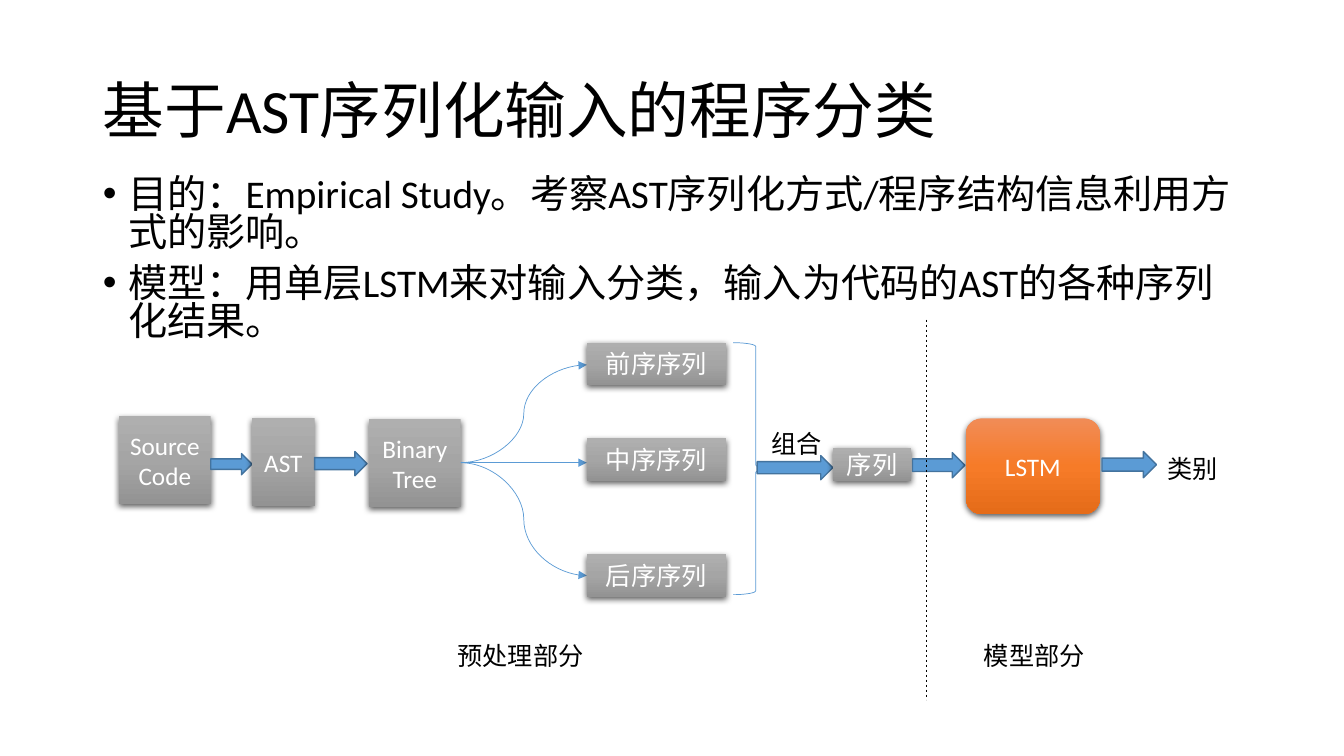
import pptx
import pptx.util
import pptx.dml.color
import pptx.enum.dml
import pptx.enum.shapes
import pptx.enum.text
import pptx.oxml.ns
from dataclasses import dataclass
from lxml import etree

Inches, Pt = pptx.util.Inches, pptx.util.Pt
SHAPE = pptx.enum.shapes.MSO_SHAPE
LINK = pptx.enum.shapes.MSO_CONNECTOR
ALIGN = pptx.enum.text.PP_ALIGN
ANCHOR = pptx.enum.text.MSO_ANCHOR
qn = pptx.oxml.ns.qn


@dataclass(frozen=True)
class Theme:
    latin: str = "Calibri"
    cjk: str = "Noto Sans CJK SC"
    title: int = 44
    body: int = 28
    label: int = 18
    black: str = "000000"
    white: str = "FFFFFF"
    blue: str = "5B9BD5"
    blue_edge: str = "43739E"
    grey: tuple = ("AFAFAF", "A5A5A5", "939393")
    orange: tuple = ("F18C57", "F67B28", "E56C19")


T = Theme()


def rgb(code):
    return pptx.dml.color.RGBColor.from_string(code)


def add(parent, tag, **attrs):
    return etree.SubElement(parent, qn(tag), **attrs)


def format_runs(p, size, color, latin=T.latin):
    for r in p.runs:
        r.font.size, r.font.name = Pt(size), latin
        r.font.color.rgb = rgb(color)
        add(r.font._element, "a:ea", typeface=T.cjk)


def place(sp, x, y, w, h):
    sp.left, sp.top, sp.width, sp.height = (Inches(v) for v in (x, y, w, h))


# Basic parts
def node(s, text, x, y, w, h, stops=T.grey, kind=SHAPE.FLOWCHART_PROCESS):
    sp = s.shapes.add_shape(kind, *(Inches(v) for v in (x, y, w, h)))
    sp.fill.gradient()
    sp.fill.gradient_angle = 270
    gs_list = sp._element.spPr.find(".//" + qn("a:gsLst"))
    gs_list.clear()
    for i, color in enumerate(stops):
        add(add(gs_list, "a:gs", pos=str(50000 * i)), "a:srgbClr", val=color)
    sp.line.fill.background()
    sp.shadow.inherit = False
    shadow = add(sp._element.spPr.find(qn("a:effectLst")), "a:outerShdw",
                 blurRad=str(Pt(4.5)), dist=str(Pt(1.5)), dir="5400000",
                 algn="ctr", rotWithShape="0")
    add(add(shadow, "a:srgbClr", val=T.black), "a:alpha", val="63000")
    tf = sp.text_frame
    tf.text = text
    tf.word_wrap, tf.vertical_anchor = True, ANCHOR.MIDDLE
    p = tf.paragraphs[0]
    p.alignment = ALIGN.CENTER
    format_runs(p, T.label, T.white)


def block_arrow(s, x, y, w, h):
    sp = s.shapes.add_shape(SHAPE.RIGHT_ARROW, *(Inches(v) for v in (x, y, w, h)))
    sp.shadow.inherit = False
    sp.fill.solid()
    sp.fill.fore_color.rgb = rgb(T.blue)
    sp.line.color.rgb, sp.line.width = rgb(T.blue_edge), Pt(1)


def label(s, text, x, y, w, latin=T.latin):
    tf = s.shapes.add_textbox(*(Inches(v) for v in (x, y, w, 0.4))).text_frame
    tf.text = text
    tf.word_wrap = True
    format_runs(tf.paragraphs[0], T.label, T.black, latin)


def line(s, kind, x1, y1, x2, y2, color):
    c = s.shapes.add_connector(kind, *(Inches(v) for v in (x1, y1, x2, y2)))
    c.line.color.rgb, c.line.width = rgb(color), Pt(0.5)
    add(c._element.spPr, "a:effectLst")
    return c


# Title and bullets
def heading(s, text, x, y, w, h):
    sp = s.shapes.title
    place(sp, x, y, w, h)
    tf = sp.text_frame
    tf.text = text
    tf.vertical_anchor = ANCHOR.MIDDLE
    p = tf.paragraphs[0]
    p.alignment, p.line_spacing = ALIGN.LEFT, 0.9
    format_runs(p, T.title, T.black)


def bullets(s, items, x, y, w, h):
    sp = s.placeholders[1]
    place(sp, x, y, w, h)
    tf = sp.text_frame
    tf.text = "\n".join(items)
    tf.auto_size = pptx.enum.text.MSO_AUTO_SIZE.NONE
    for i, p in enumerate(tf.paragraphs):
        p.line_spacing, p.space_before = 0.8, Pt(10 if i else 0)
        pPr = p._p.get_or_add_pPr()
        pPr.set("marL", str(Inches(0.25)))
        pPr.set("indent", str(Inches(-0.25)))
        add(pPr, "a:buFont", typeface="Arial")
        add(pPr, "a:buChar", char="•")
        format_runs(p, T.body, T.black)


# Preprocessing: source code to combined sequence
def preprocessing(s, x, y):
    node(s, "Source Code", x, y + 0.73, 0.91, 0.87)
    block_arrow(s, x + 0.91, y + 1.1, 0.41, 0.21)
    node(s, "AST", x + 1.32, y + 0.75, 0.62, 0.87)
    block_arrow(s, x + 1.94, y + 1.08, 0.52, 0.24)
    node(s, "Binary Tree", x + 2.48, y + 0.76, 0.91, 0.87)

    fork, order_x, mid = x + 3.39, x + 4.64, y + 1.19
    orders = (("前序序列", 0, 0.22, LINK.CURVE),
              ("中序序列", 0.95, 1.19, LINK.STRAIGHT),
              ("后序序列", 2.1, 2.31, LINK.CURVE))
    for text, top, entry, kind in orders:
        c = line(s, kind, fork, mid, order_x, y + entry, T.blue)
        add(c.line._get_or_add_ln(), "a:tailEnd", type="triangle")
        node(s, text, order_x, y + top, 1.38, 0.42)

    brace = s.shapes.add_shape(SHAPE.RIGHT_BRACE, Inches(x + 6.09), Inches(y),
                               Inches(0.45), Inches(2.5))
    brace.shadow.inherit = False
    brace.fill.background()
    brace.line.color.rgb, brace.line.width = rgb(T.blue), Pt(0.5)
    block_arrow(s, x + 6.33, y + 1.12, 0.75, 0.24)
    node(s, "序列", x + 7.08, y + 1.04, 0.78, 0.33)
    label(s, "组合", x + 6.37, y + 0.8, 0.75)
    label(s, "预处理部分", x + 3.26, y + 2.9, 1.53, T.cjk)


# Model: sequence to class
def model(s, x, y):
    block_arrow(s, x, y + 1.09, 0.52, 0.25)
    node(s, "LSTM", x + 0.53, y + 0.75, 1.33, 0.95, T.orange, SHAPE.ROUNDED_RECTANGLE)
    block_arrow(s, x + 1.88, y + 1.08, 0.54, 0.26)
    label(s, "类别", x + 2.43, y + 1.05, 0.75)
    label(s, "模型部分", x + 0.61, y + 2.9, 1.26, T.cjk)


def divider(s, x, top, bottom):
    c = line(s, LINK.STRAIGHT, x, top, x, bottom, T.black)
    c.line.dash_style = pptx.enum.dml.MSO_LINE.DASH


def main():
    prs = pptx.Presentation()
    prs.slide_width, prs.slide_height = Inches(13.33), Inches(7.5)
    s = prs.slides.add_slide(prs.slide_layouts[1])
    heading(s, "基于AST序列化输入的程序分类", 0.92, 0.4, 11.5, 1.45)
    bullets(s, ("目的：Empirical Study。考察AST序列化方式/程序结构信息利用方式的影响。",
                "模型：用单层LSTM来对输入分类，输入为代码的AST的各种序列化结果。"),
            0.92, 1.72, 11.5, 1.75)
    preprocessing(s, 1.18, 3.4)
    model(s, 9.05, 3.4)
    divider(s, 9.19, 3.17, 6.94)
    prs.save("out.pptx")


if __name__ == "__main__":
    main()
